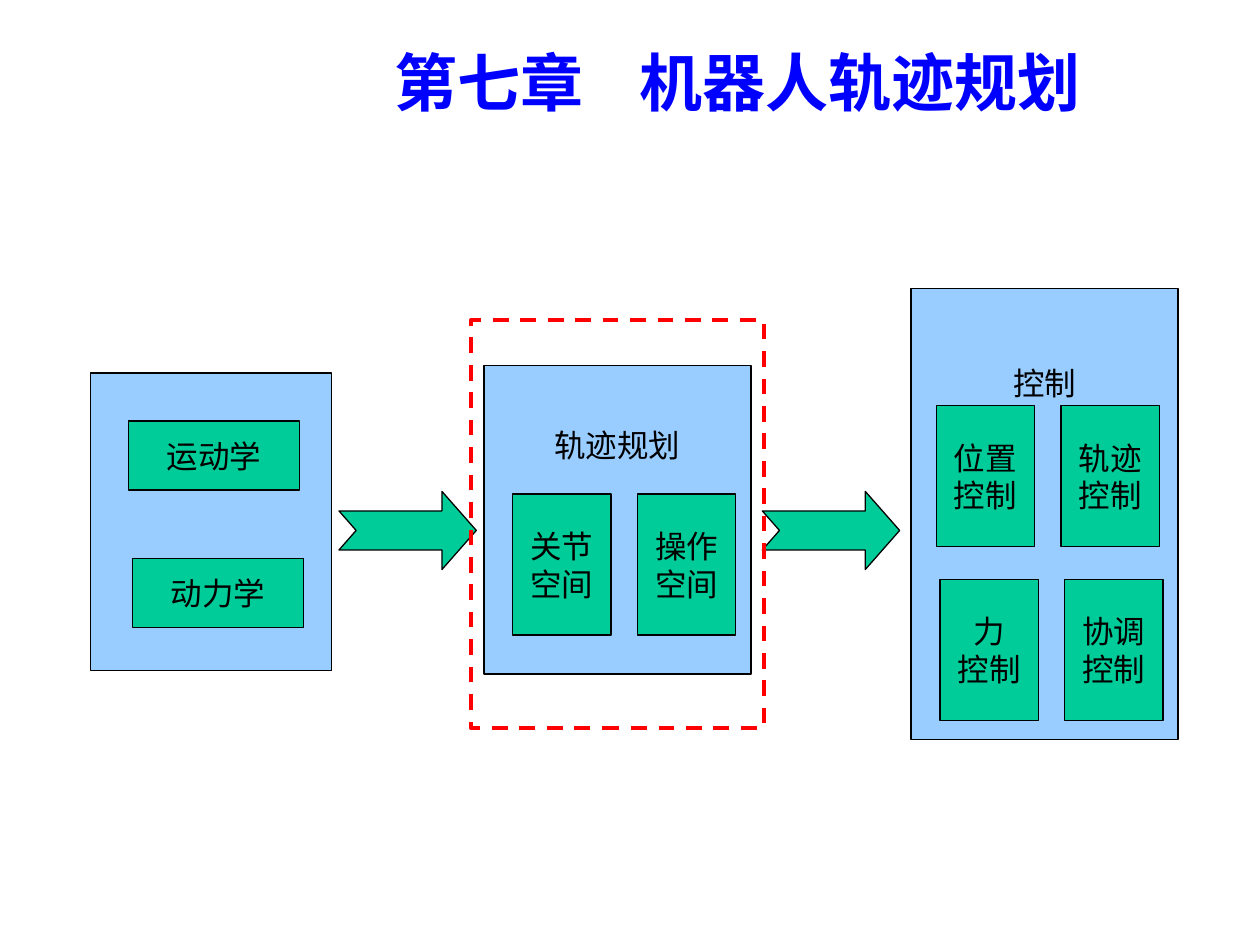
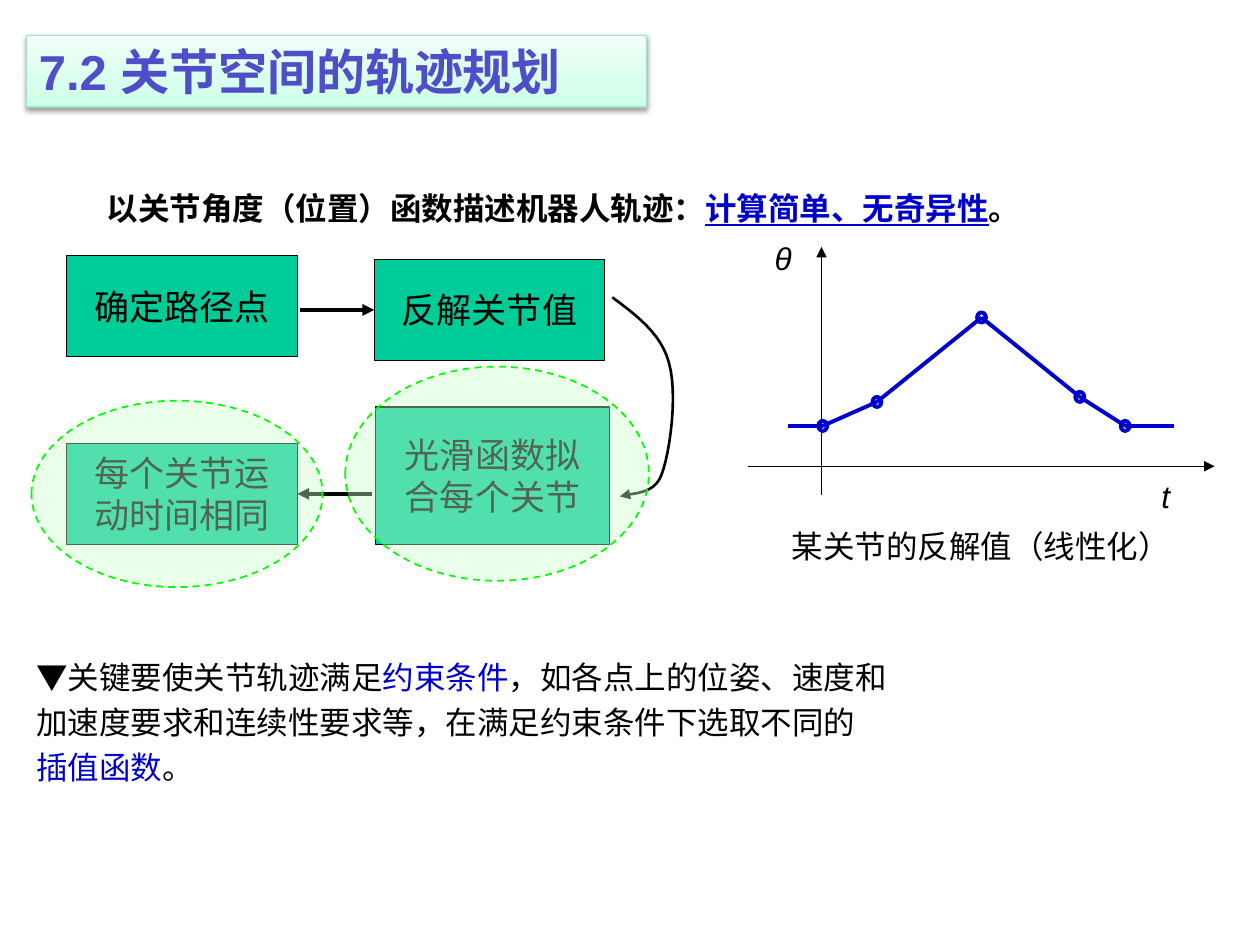
from typing import NamedTuple

from lxml import etree
from pptx import Presentation
from pptx.dml.color import RGBColor
from pptx.enum.dml import MSO_LINE
from pptx.enum.shapes import MSO_CONNECTOR, MSO_SHAPE
from pptx.enum.text import MSO_ANCHOR, PP_ALIGN
from pptx.oxml.ns import qn
from pptx.util import Inches, Pt

RECTANGLE = MSO_SHAPE.RECTANGLE
ELLIPSE = MSO_SHAPE.OVAL
MARKER = MSO_SHAPE.FLOWCHART_CONNECTOR
NOTCHED_ARROW = MSO_SHAPE.NOTCHED_RIGHT_ARROW
STRAIGHT = MSO_CONNECTOR.STRAIGHT
DASH = MSO_LINE.DASH
LEFT, CENTER = PP_ALIGN.LEFT, PP_ALIGN.CENTER
TOP, MIDDLE = MSO_ANCHOR.TOP, MSO_ANCHOR.MIDDLE
LEFT_SIDE, RIGHT_SIDE = 1, 3

COLORS = {
    "black": "000000",
    "white": "FFFFFF",
    "panel": "99CCFF",
    "tile": "00CC99",
    "frame": "FF0000",
    "chapter": "0000FF",
    "accent": "0000CC",
    "halo": "CCFFCC",
    "halo_line": "00FF00",
    "banner_low": "CCFFE8",
    "banner_high": "F1FFF8",
    "banner_line": "A5DEC6",
    "banner_text": "4E4EC9",
}
LATIN_FONT = "Arial"
CHINESE_FONT = "Noto Sans CJK SC"
COLUMNS, ROWS = 100, 75
SLIDE_WIDTH, SLIDE_HEIGHT = Inches(10), Inches(7.5)
COLUMN, ROW = SLIDE_WIDTH // COLUMNS, SLIDE_HEIGHT // ROWS


class Box(NamedTuple):
    left: float
    top: float
    width: float
    height: float

    def inner(self, left, top, width, height):
        return Box(self.left + left, self.top + top, width, height)

    def point(self, x, y):
        return round((self.left + x) * COLUMN), round((self.top + y) * ROW)

    def lengths(self):
        return (*self.point(0, 0), round(self.width * COLUMN), round(self.height * ROW))


def color(name):
    return RGBColor.from_string(COLORS[name])


def add_element(parent, tag, **attributes):
    return etree.SubElement(parent, qn(tag), attributes)


def style_line(shape, color_name, width, dash=None, arrow=False):
    shape.line.color.rgb = color(color_name)
    shape.line.width = Pt(width)
    if dash:
        shape.line.dash_style = dash
    if arrow:
        add_element(shape._element.spPr.find(qn("a:ln")), "a:tailEnd", type="triangle")


def write_text(frame, paragraphs, size, color_name="black", align=LEFT, anchor=TOP,
               wrap=False, bold=False, italic=False, font=LATIN_FONT, spacing=None, tab=None):
    frame.word_wrap = wrap
    frame.vertical_anchor = anchor
    for index, runs in enumerate(paragraphs):
        paragraph = frame.paragraphs[0] if index == 0 else frame.add_paragraph()
        paragraph.alignment = align
        if spacing:
            paragraph.line_spacing = spacing
        properties = paragraph._p.get_or_add_pPr()
        if tab:
            stops = add_element(properties, "a:tabLst")
            add_element(stops, "a:tab", pos=str(round(tab * COLUMN)), algn="l")
        paragraph.font.size = Pt(size)
        paragraph.font.bold = bold
        paragraph.font.italic = italic
        paragraph.font.color.rgb = color(color_name)
        paragraph.font.name = font
        add_element(properties.find(qn("a:defRPr")), "a:ea", typeface=CHINESE_FONT)
        for text, run_color, underline in [(runs, None, False)] if isinstance(runs, str) else runs:
            run = paragraph.add_run()
            run.text = text
            if run_color:
                run.font.color.rgb = color(run_color)
            if underline:
                run.font.underline = True


def add_text(slide, box, paragraphs, size=18, **style):
    shape = slide.shapes.add_textbox(*box.lengths())
    write_text(shape.text_frame, paragraphs, size, **style)


def add_shape(slide, kind, box, fill=None, line="black", width=0.75, dash=None):
    shape = slide.shapes.add_shape(kind, *box.lengths())
    shape.shadow.inherit = False
    if fill:
        shape.fill.solid()
        shape.fill.fore_color.rgb = color(fill)
    else:
        shape.fill.background()
    style_line(shape, line, width, dash)
    return shape


def add_line(slide, start, end, line="black", width=0.75, arrow=False):
    connector = slide.shapes.add_connector(STRAIGHT, *start, *end)
    style_line(connector, line, width, arrow=arrow)
    add_element(connector._element.spPr, "a:effectLst")
    return connector


def add_tile(slide, box, lines, size=18):
    tile = add_shape(slide, RECTANGLE, box, "tile")
    write_text(tile.text_frame, lines, size, align=CENTER, anchor=MIDDLE)
    return tile


def add_panel(slide, box, tile_rows, first, tile_size, pitch, label=None, label_top=0):
    panel = add_shape(slide, RECTANGLE, box, "panel")
    if label:
        panel.text_frame.margin_top = round(label_top * ROW)
        write_text(panel.text_frame, [label], 18, align=CENTER)
    row_shift = 0.3
    for row, tiles in enumerate(tile_rows):
        for column, lines in enumerate(tiles):
            left = first[0] + column * pitch[0] + row * row_shift
            top = first[1] + row * pitch[1]
            add_tile(slide, box.inner(left, top, *tile_size), lines)


def add_chapter_title(slide, box):
    add_text(slide, box, ["第七章\t机器人轨迹规划"], 36, color_name="chapter",
             bold=True, anchor=MIDDLE, wrap=True, tab=19.5)


def add_chapter_map(slide, box):
    square = (7.8, 11.2)
    add_panel(slide, box.inner(0, 6.7, 19.1, 23.6), [[["运动学"]], [["动力学"]]],
              (3, 3.8), (13.6, 5.5), (0, 10.9))
    add_panel(slide, box.inner(31.2, 6.1, 21.2, 24.5),
              [[["关节", "空间"], ["操作", "空间"]]],
              (2.3, 10.2), square, (9.9, 0), "轨迹规划", 4.8)
    add_panel(slide, box.inner(65.1, 0, 21.2, 35.8),
              [[["位置", "控制"], ["轨迹", "控制"]], [["力", "控制"], ["协调", "控制"]]],
              (2, 9.3), square, (9.9, 13.8), "控制", 6)
    for left in (19.7, 53.3):
        arrow = add_shape(slide, NOTCHED_ARROW, box.inner(left, 16.1, 10.9, 6.2), "tile")
        arrow.adjustments[0], arrow.adjustments[1] = 0.5, 0.44
    add_shape(slide, RECTANGLE, box.inner(30.2, 2.5, 23.2, 32.4),
              line="frame", width=2.25, dash=DASH)


def add_section_banner(slide, box):
    banner = add_shape(slide, RECTANGLE, box, line="banner_line")
    banner.fill.gradient()
    banner.fill.gradient_angle = 90
    for stop, name in zip(banner.fill.gradient_stops, ("banner_low", "banner_high")):
        stop.color.rgb = color(name)
    effects = banner._element.spPr.find(qn("a:effectLst"))
    shadow = add_element(effects, "a:outerShdw", blurRad=str(Pt(3.1)), dist=str(Pt(1.6)),
                         dir="5400000", rotWithShape="0")
    shade = add_element(shadow, "a:srgbClr", val=COLORS["black"])
    add_element(shade, "a:alpha", val="38000")
    write_text(banner.text_frame, ["7.2 关节空间的轨迹规划"], 28,
               color_name="banner_text", bold=True, anchor=MIDDLE, wrap=True)


def bezier_points(start, first, second, end, steps=12):
    for step in range(1, steps + 1):
        t = step / steps
        weights = ((1 - t) ** 3, 3 * t * (1 - t) ** 2, 3 * t * t * (1 - t), t ** 3)
        yield tuple(sum(weight * value for weight, value in zip(weights, values))
                    for values in zip(start, first, second, end))


def add_curved_arrow(slide, box, controls):
    points = [controls[0]]
    for index in range(0, len(controls) - 1, 3):
        points.extend(bezier_points(*controls[index:index + 4]))
    builder = slide.shapes.build_freeform(*box.point(*points[0]))
    builder.add_line_segments([box.point(*point) for point in points[1:]], close=False)
    curve = builder.convert_to_shape()
    curve.shadow.inherit = False
    curve.fill.background()
    style_line(curve, "black", 1.5, arrow=True)


def add_halo(slide, box):
    halo = add_shape(slide, ELLIPSE, box, "halo", "halo_line", 1, DASH)
    tint = halo._element.spPr.find(qn("a:solidFill")).find(qn("a:srgbClr"))
    add_element(tint, "a:alpha", val="40000")


def add_planning_flow(slide, box):
    add_tile(slide, box.inner(2.8, 0, 18.3, 8), ["确定路径点"], 20)
    inverse = add_tile(slide, box.inner(27.2, 0.3, 18.3, 8), ["反解关节值"], 20)
    add_tile(slide, box.inner(27.3, 12, 18.6, 10.9), ["光滑函数拟", "合每个关节"], 20)
    timing = add_tile(slide, box.inner(2.8, 14.9, 18.3, 8), ["每个关节运", "动时间相同"], 20)
    for start, target, side in (((21.3, 4.3), inverse, LEFT_SIDE),
                                ((27, 18.9), timing, RIGHT_SIDE)):
        start = box.point(*start)
        arrow = add_line(slide, start, start, width=2.25, arrow=True)
        arrow.end_connect(target, side)
    add_curved_arrow(slide, box, [
        (46.1, 3.3), (48, 4.7), (50, 6.2), (50.6, 8.5), (51.3, 10.9),
        (50.7, 15.6), (50, 17.4), (49.4, 19.1), (47.3, 18.8), (46.7, 19.1)])
    add_halo(slide, box.inner(0, 11.5, 23.1, 14.8))
    add_halo(slide, box.inner(24.9, 8.8, 24.1, 17))


def add_joint_graph(slide, box):
    trajectory = [(3.1, 15.3), (5.9, 15.3), (10.2, 13.4), (18.5, 6.7),
                  (26.3, 13), (29.9, 15.3), (33.8, 15.3)]
    for x, y in trajectory[1:-1]:
        add_shape(slide, MARKER, box.inner(x - 0.35, y - 0.4, 0.7, 0.8),
                  "white", "accent", 2.25)
    for start, end in (((5.8, 20.8), (5.8, 1.1)), ((0, 18.5), (box.width, 18.5))):
        add_line(slide, box.point(*start), box.point(*end), arrow=True)
    for start, end in zip(trajectory, trajectory[1:]):
        add_line(slide, box.point(*start), box.point(*end), "accent", 2.25)
    add_text(slide, box.inner(1.1, 0, 3.9, 4), ["θ"], italic=True, wrap=True)
    add_text(slide, box.inner(31.8, 18.9, 2.7, 4), ["t"], italic=True)
    add_text(slide, box.inner(2.2, 22.8, 32.5, 4), ["某关节的反解值（线性化）"],
             align=CENTER, font=CHINESE_FONT)


def add_statements(slide, heading_box, body_box):
    add_text(slide, heading_box, [[
        ("以关节角度（位置）函数描述机器人轨迹：", None, False),
        ("计算简单、无奇异性", "accent", True),
        ("。", None, False)]], bold=True)
    add_text(slide, body_box, [
        [("▼关键要使关节轨迹满足", None, False), ("约束条件", "accent", False),
         ("，如各点上的位姿、速度和", None, False)],
        "加速度要求和连续性要求等，在满足约束条件下选取不同的",
        [("插值函数", "accent", False), ("。", None, False)]], wrap=True, spacing=1.2)


def build_chapter_slide(slide):
    add_chapter_map(slide, Box(7.2, 22.9, 86.3, 35.8))
    add_chapter_title(slide, Box(30.3, 2.1, 58.3, 8.7))


def build_joint_space_slide(slide):
    add_joint_graph(slide, Box(59.4, 18.5, 37, 26.8))
    add_planning_flow(slide, Box(2.5, 20.3, 51.3, 26.3))
    add_statements(slide, Box(7.5, 14.5, 75.7, 4), Box(1.9, 51.1, 92, 15.4))
    add_section_banner(slide, Box(2.1, 2.8, 49.2, 5.7))


def main():
    presentation = Presentation()
    presentation.slide_width, presentation.slide_height = SLIDE_WIDTH, SLIDE_HEIGHT
    blank = presentation.slide_layouts[6]
    for build in (build_chapter_slide, build_joint_space_slide):
        build(presentation.slides.add_slide(blank))
    presentation.save("out.pptx")


if __name__ == "__main__":
    main()
